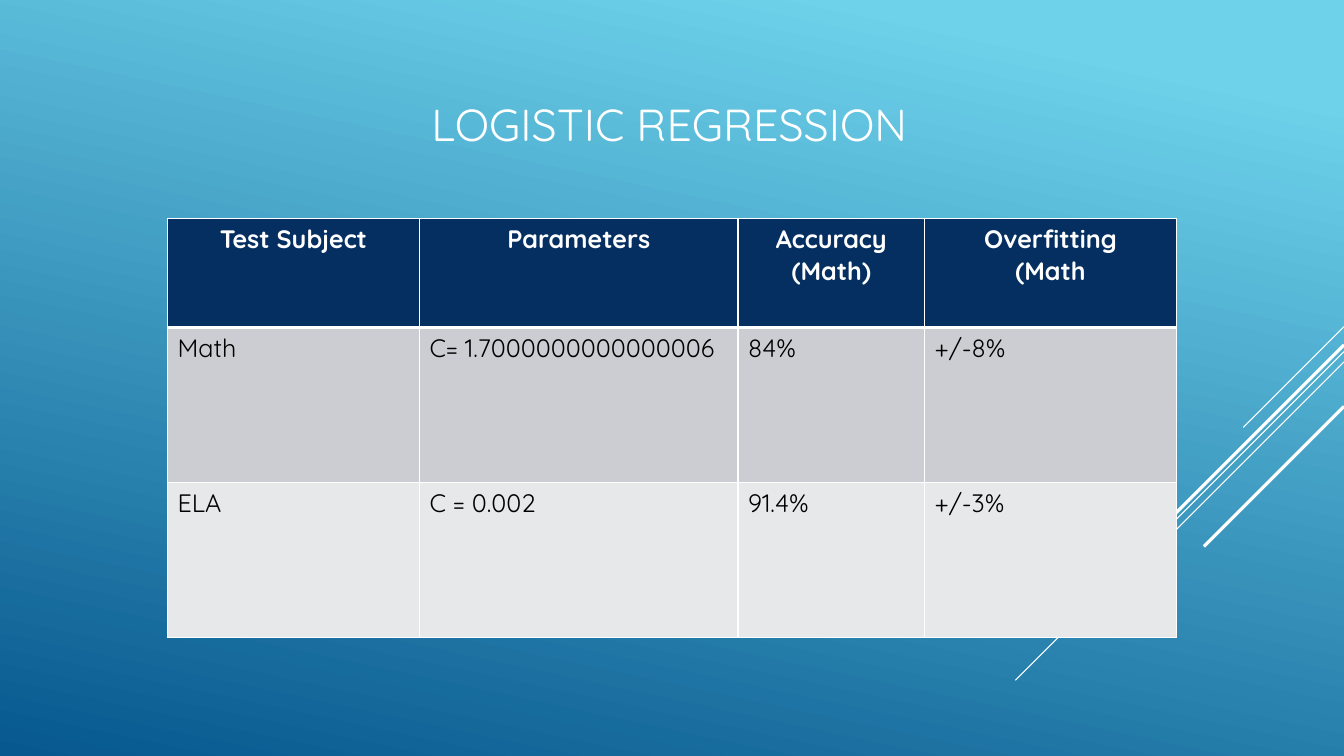
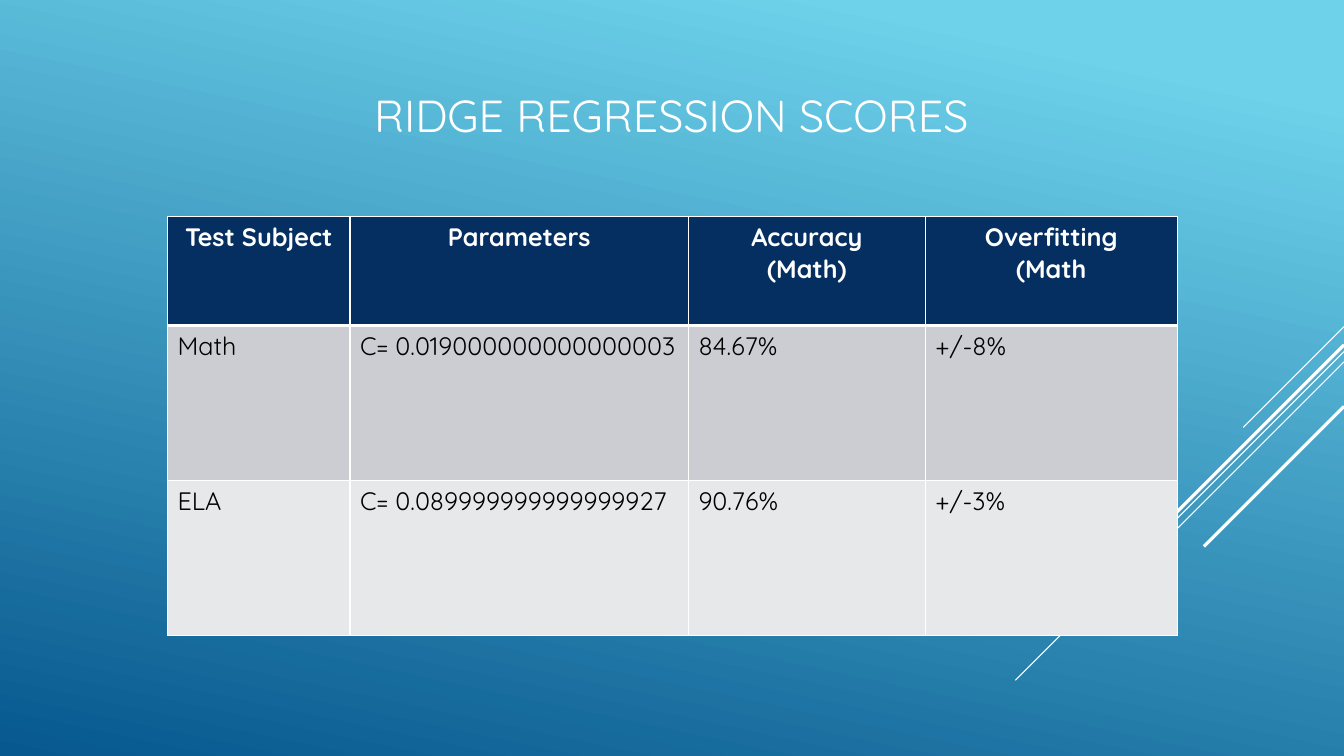
"""Build two slides that show regression scores in tables."""
from lxml.etree import SubElement
from pptx import Presentation
from pptx.dml.color import RGBColor
from pptx.enum.shapes import MSO_CONNECTOR
from pptx.enum.text import MSO_ANCHOR, MSO_AUTO_SIZE, PP_ALIGN
from pptx.oxml import parse_xml
from pptx.oxml.ns import nsdecls, qn
from pptx.util import Cm, Pt

FONT = "Quicksand"
WHITE, BLACK, NAVY = "FFFFFF", "000000", "052F61"
FILLS = [NAVY, "CCCDD2", "E7E8EA"]
WIDTH = 33.87
ROWS = [2.74, 3.91, 3.91]
HEAD = ["Test Subject", "Parameters", "Accuracy\n(Math)", "Overfitting\n(Math"]
RAYS = [(8.23, 2.54, 0.75), (8.86, 8.28, 0.75), (9.12, 5.26, 0.75),
        (8.69, 4.85, 2.25), (10.24, 3.53, 2.25)]
SLIDES = [
    ("LOGISTIC REGRESSION", PP_ALIGN.LEFT, (10.62, 1.55, 12.62, 3.12),
     5.51, [6.35, 8.03, 4.7, 6.35],
     [["Math", "C= 1.7000000000000006", "84%", "+/-8%"],
      ["ELA", "C = 0.002", "91.4%", "+/-3%"]]),
    ("RIDGE REGRESSION SCORES", PP_ALIGN.CENTER, (9.09, 1.73, 15.67, 2.34),
     5.46, [4.6, 8.53, 5.97, 6.35],
     [["Math", "C= 0.019000000000000003", "84.67%", "+/-8%"],
      ["ELA", "C= 0.089999999999999927", "90.76%", "+/-3%"]]),
]


def paint(item, color):
    item.rgb = RGBColor.from_string(color)


def style(frame, size, color, bold, align):
    for para in frame.paragraphs:
        para.alignment = align
        para.font.name = FONT
        para.font.size = Pt(size)
        para.font.bold = bold
        paint(para.font.color, color)


deck = Presentation()
deck.slide_width, deck.slide_height = Cm(WIDTH), Cm(19.05)

fill = deck.slide_master.background.fill
fill.gradient()
fill.gradient_angle = 258
for stop, (place, color) in zip(fill.gradient_stops,
                                [(0.1, "6ED2EB"), (1, "06588E")]):
    stop.position = place
    paint(stop.color, color)

for name, align, box, top, cols, data in SLIDES:
    slide = deck.slides.add_slide(deck.slide_layouts[5])

    for start, run, weight in RAYS:
        ray = slide.shapes.add_connector(
            MSO_CONNECTOR.STRAIGHT, Cm(WIDTH), Cm(start),
            Cm(WIDTH - run), Cm(start + run))
        ray.line.width = Pt(weight)
        paint(ray.line.color, WHITE)
        SubElement(ray._element.spPr, qn("a:effectLst"))

    title = slide.shapes.title
    title.left, title.top, title.width, title.height = map(Cm, box)
    frame = title.text_frame
    frame.text = name
    frame.word_wrap = True
    frame.auto_size = MSO_AUTO_SIZE.NONE
    frame.vertical_anchor = MSO_ANCHOR.MIDDLE
    style(frame, 32, WHITE, False, align)

    table = slide.shapes.add_table(
        len(ROWS), len(cols), Cm(4.22), Cm(top),
        Cm(sum(cols)), Cm(sum(ROWS))).table
    for col, width in zip(table.columns, cols):
        col.width = Cm(width)
    for i, texts in enumerate([HEAD] + data):
        table.rows[i].height = Cm(ROWS[i])
        first = i == 0
        edges = {"L": 1, "R": 1, "T": 3 if i == 1 else 1, "B": 3 if first else 1}
        for j, text in enumerate(texts):
            cell = table.cell(i, j)
            cell.text = text
            style(cell.text_frame, 18, WHITE if first else BLACK, first,
                  PP_ALIGN.CENTER if first else PP_ALIGN.LEFT)
            cell.fill.solid()
            paint(cell.fill.fore_color, FILLS[i])
            props = cell._tc.get_or_add_tcPr()
            for k, (side, weight) in enumerate(edges.items()):
                props.insert(k, parse_xml(
                    f'<a:ln{side} {nsdecls("a")} w="{Pt(weight)}"><a:solidFill>'
                    f'<a:srgbClr val="{WHITE}"/></a:solidFill></a:ln{side}>'))

deck.save("out.pptx")
